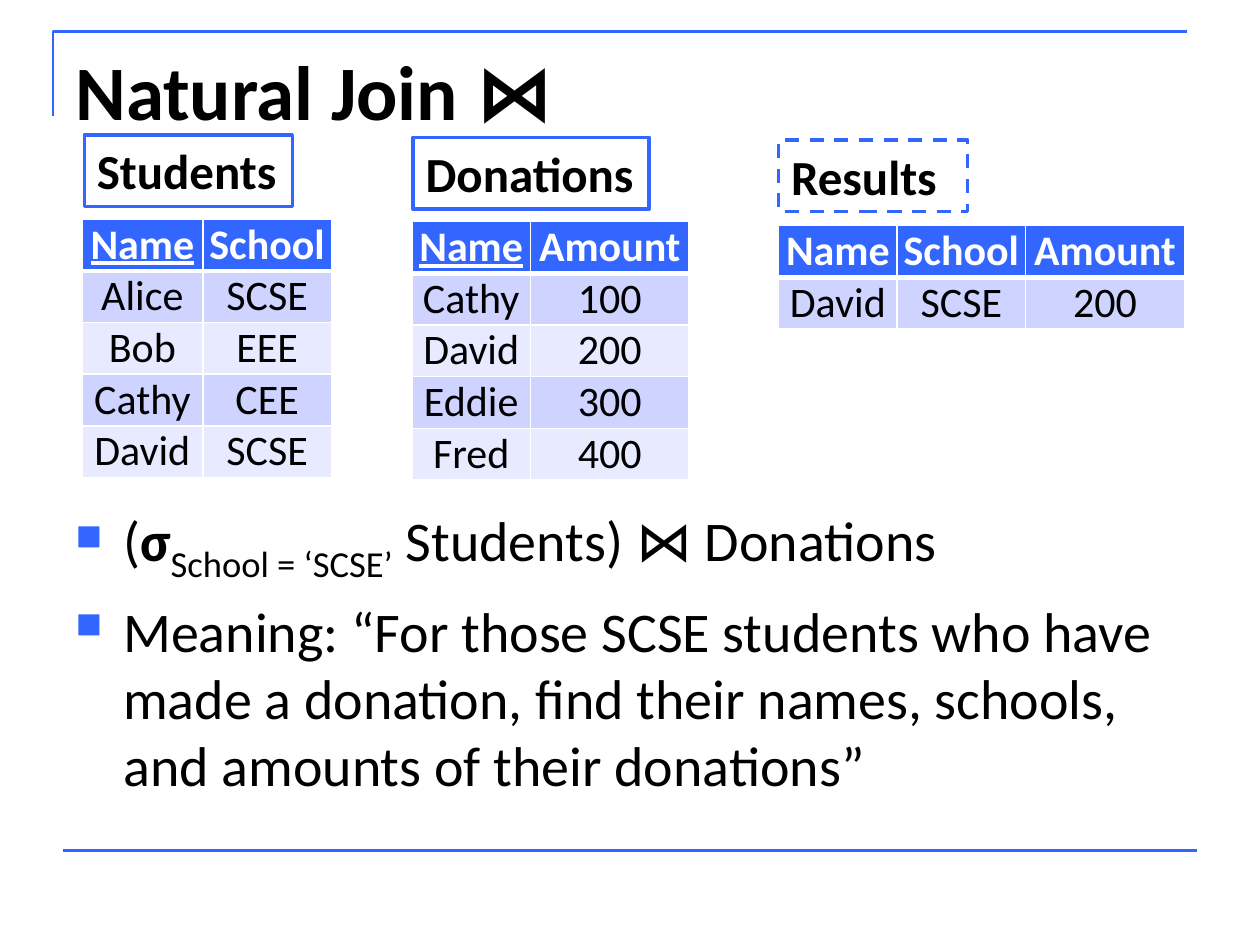
import dataclasses
import typing

import lxml.etree
import pptx
import pptx.dml.color
import pptx.enum.dml
import pptx.enum.shapes
import pptx.enum.text
import pptx.oxml.ns
import pptx.util

Inches = pptx.util.Inches
Pt = pptx.util.Pt
qn = pptx.oxml.ns.qn


@dataclasses.dataclass(frozen=True)
class Theme:
    font: str = "Calibri"
    accent: str = "3366FF"
    text: str = "000000"
    white: str = "FFFFFF"
    bands: tuple[str, str] = ("CED3FF", "E8EAFF")
    title_size: int = 44
    body_size: int = 32
    subscript_size: int = 36
    label_size: int = 28
    cell_size: int = 24
    rule_width: float = 1.5
    label_width: float = 2
    grid_width: int = 1
    header_rule_width: int = 3
    row_height: float = 0.41


THEME = Theme()


@dataclasses.dataclass(frozen=True)
class Relation:
    name: str
    left: float
    top: float
    label_left: float
    label_top: float
    label_width: float
    columns: tuple[float, ...]
    rows: tuple[tuple[str, ...], ...]
    is_result: bool = False


@dataclasses.dataclass(frozen=True)
class Piece:
    text: str
    size: int = THEME.body_size
    bold: bool = False
    baseline: int = 0


RELATIONS = (
    Relation("Students", 0.65, 1.74, 0.67, 1.07, 1.65, (0.96, 1.02),
             (("Name", "School"), ("Alice", "SCSE"), ("Bob", "EEE"),
              ("Cathy", "CEE"), ("David", "SCSE"))),
    Relation("Donations", 3.27, 1.76, 3.28, 1.09, 1.87, (0.94, 1.26),
             (("Name", "Amount"), ("Cathy", "100"), ("David", "200"),
              ("Eddie", "300"), ("Fred", "400"))),
    Relation("Results", 6.18, 1.79, 6.18, 1.11, 1.5, (0.94, 1.02, 1.26),
             (("Name", "School", "Amount"), ("David", "SCSE", "200")), True),
)

BULLETS = (
    (Piece("("), Piece("σ", bold=True),
     Piece("School = ‘SCSE’", THEME.subscript_size, baseline=-25000),
     Piece(" Students) ⋈ Donations")),
    (Piece("Meaning: “For those SCSE students who have made a donation, find "
           "their names, schools, and amounts of their donations”"),),
)


def rgb(color: str) -> pptx.dml.color.RGBColor:
    return pptx.dml.color.RGBColor.from_string(color)


def style(span: typing.Any, size: int, bold: bool = False, color: str = THEME.text) -> None:
    span.font.name = THEME.font
    span.font.size = Pt(size)
    span.font.bold = bold
    span.font.color.rgb = rgb(color)


def style_line(shape: typing.Any, width: float) -> None:
    shape.line.color.rgb = rgb(THEME.accent)
    shape.line.width = Pt(width)


def draw_frame(page: typing.Any) -> None:
    builder = page.shapes.build_freeform(Inches(0.42), Inches(0.92))
    builder.add_line_segments(
        [(Inches(0.42), Inches(0.25)), (Inches(9.42), Inches(0.25))], close=False)
    corner = builder.convert_to_shape()
    corner.shadow.inherit = False
    corner.fill.background()
    style_line(corner, THEME.rule_width)
    footer = page.shapes.add_connector(
        pptx.enum.shapes.MSO_CONNECTOR.STRAIGHT,
        Inches(0.5), Inches(6.75), Inches(9.5), Inches(6.75))
    style_line(footer, THEME.rule_width)
    lxml.etree.SubElement(footer._element.spPr, qn("a:effectLst"))


def add_text_box(page: typing.Any, top: float, height: float) -> typing.Any:
    box = page.shapes.add_textbox(Inches(0.5), Inches(top), Inches(9), Inches(height))
    box.text_frame.word_wrap = True
    return box.text_frame


def draw_title(page: typing.Any) -> None:
    frame = add_text_box(page, 0.3, 1.25)
    frame.text = "Natural Join ⋈"
    style(frame.paragraphs[0].runs[0], THEME.title_size, True)


def add_bullet(para: typing.Any) -> None:
    properties = para._p.get_or_add_pPr()
    properties.set("marL", str(Inches(0.38)))
    properties.set("indent", str(-Inches(0.38)))
    color = lxml.etree.SubElement(properties, qn("a:buClr"))
    lxml.etree.SubElement(color, qn("a:srgbClr"), val=THEME.accent)
    lxml.etree.SubElement(properties, qn("a:buSzPct"), val="65000")
    lxml.etree.SubElement(properties, qn("a:buChar"), char="■")


def draw_body(page: typing.Any) -> None:
    frame = add_text_box(page, 3.91, 2.8)
    for index, pieces in enumerate(BULLETS):
        para = frame.add_paragraph() if index else frame.paragraphs[0]
        add_bullet(para)
        if index:
            para.space_before = Pt(0.2 * THEME.body_size)
        for piece in pieces:
            span = para.add_run()
            span.text = piece.text
            style(span, piece.size, piece.bold)
            if piece.baseline:
                span._r.get_or_add_rPr().set("baseline", str(piece.baseline))


def draw_label(page: typing.Any, relation: Relation) -> None:
    box = page.shapes.add_shape(
        pptx.enum.shapes.MSO_SHAPE.RECTANGLE, Inches(relation.label_left),
        Inches(relation.label_top), Inches(relation.label_width), Inches(0.57))
    box.shadow.inherit = False
    box.fill.background()
    style_line(box, THEME.label_width)
    if relation.is_result:
        box.line.dash_style = pptx.enum.dml.MSO_LINE.DASH
    frame = box.text_frame
    frame.word_wrap = True
    frame.margin_right = 0
    frame.vertical_anchor = pptx.enum.text.MSO_ANCHOR.TOP
    frame.text = relation.name
    frame.paragraphs[0].alignment = pptx.enum.text.PP_ALIGN.LEFT
    style(frame.paragraphs[0].runs[0], THEME.label_size, True)


def set_borders(cell: typing.Any, row: int) -> None:
    widths = dict.fromkeys(("L", "R", "T", "B"), THEME.grid_width)
    if row < 2:
        widths["T" if row else "B"] = THEME.header_rule_width
    properties = cell._tc.get_or_add_tcPr()
    for side, width in widths.items():
        border = lxml.etree.SubElement(properties, qn(f"a:ln{side}"), w=str(Pt(width)))
        fill = lxml.etree.SubElement(border, qn("a:solidFill"))
        lxml.etree.SubElement(fill, qn("a:srgbClr"), val=THEME.white)


def draw_table(page: typing.Any, relation: Relation) -> None:
    table = page.shapes.add_table(
        len(relation.rows), len(relation.columns), Inches(relation.left),
        Inches(relation.top), Inches(sum(relation.columns)),
        Inches(THEME.row_height * len(relation.rows))).table
    for column, width in zip(table.columns, relation.columns):
        column.width = Inches(width)
    for row, values in enumerate(relation.rows):
        header = row == 0
        for column, value in enumerate(values):
            cell = table.cell(row, column)
            cell.margin_left = cell.margin_right = cell.margin_top = cell.margin_bottom = 0
            set_borders(cell, row)
            cell.fill.solid()
            cell.fill.fore_color.rgb = rgb(
                THEME.accent if header else THEME.bands[(row - 1) % 2])
            cell.text_frame.text = value
            para = cell.text_frame.paragraphs[0]
            para.alignment = pptx.enum.text.PP_ALIGN.CENTER
            style(para.runs[0], THEME.cell_size, header,
                  THEME.white if header else THEME.text)
            if header and column == 0 and not relation.is_result:
                para.runs[0].font.underline = True


def main() -> None:
    deck = pptx.Presentation()
    deck.slide_width, deck.slide_height = Inches(10), Inches(7.5)
    page = deck.slides.add_slide(deck.slide_layouts[6])
    draw_frame(page)
    draw_title(page)
    draw_body(page)
    for relation in RELATIONS:
        draw_table(page, relation)
        draw_label(page, relation)
    deck.save("out.pptx")


if __name__ == "__main__":
    main()
